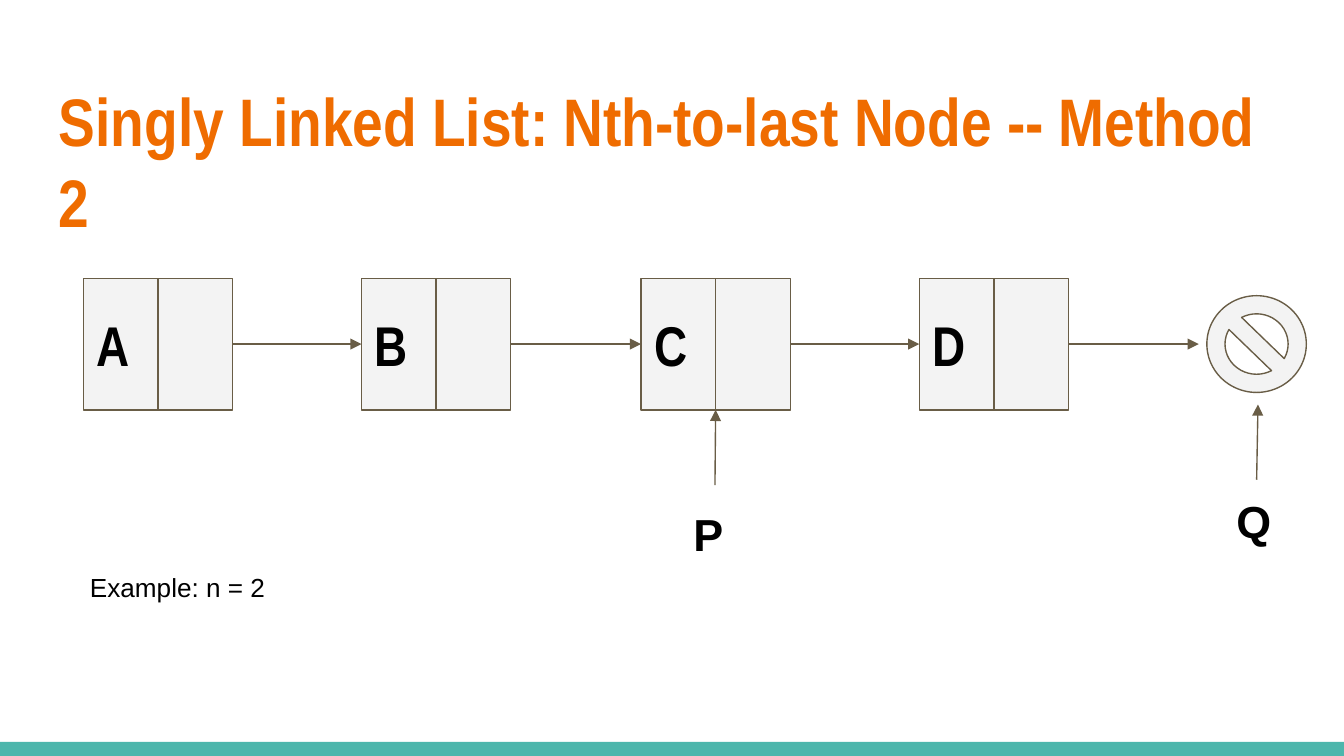
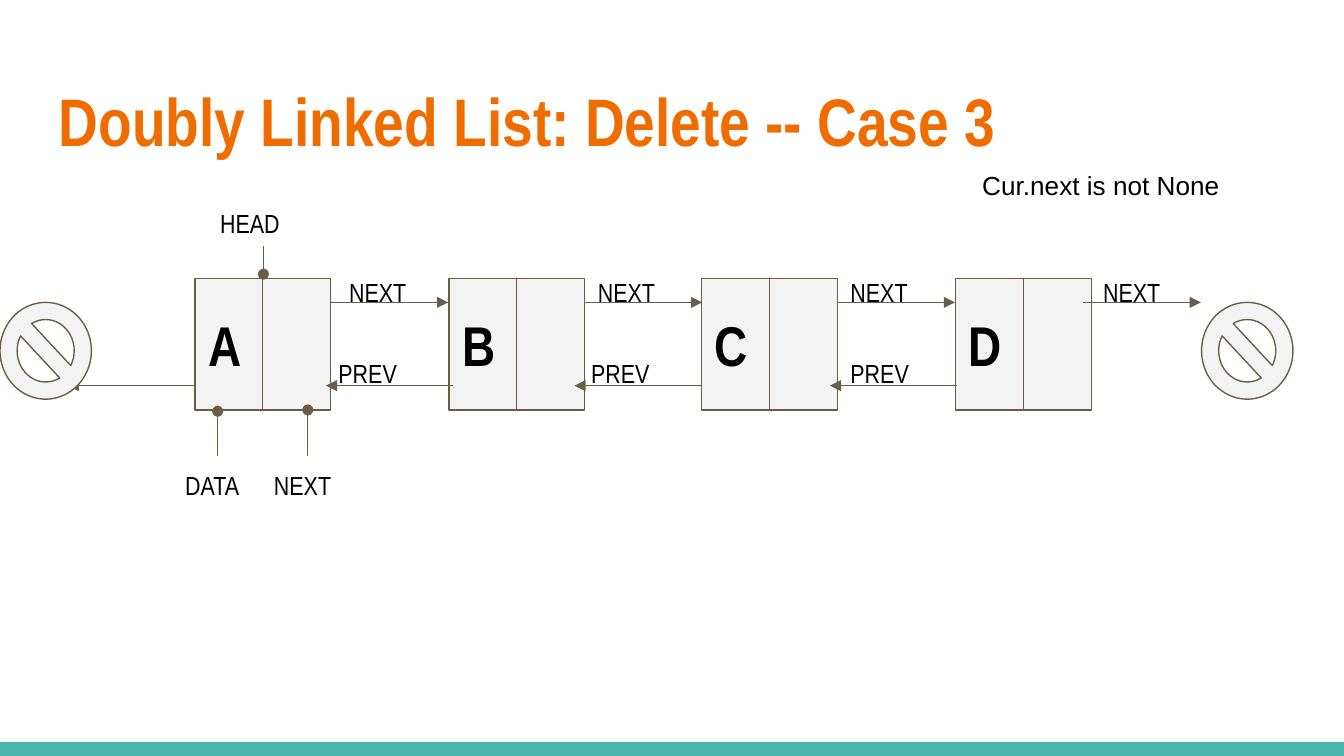
from lxml import etree
from pptx import Presentation
from pptx import util as u
from pptx.dml.color import RGBColor
from pptx.enum import shapes, text
from pptx.oxml.ns import qn

PX = 9144
KIND = shapes.MSO_SHAPE
TOP, LEFT, BOTTOM, RIGHT = range(4)
NARROW = "Arial Narrow"
ORANGE, TEAL, BROWN, GREY, BLACK = "EF6C00", "4DB6AC", "695D46", "F3F3F3", "000000"
TITLE = {"name": NARROW, "size": 36, "bold": True, "color": ORANGE}
LETTER = {"name": NARROW, "size": 30, "bold": True, "color": BLACK}
MARK = {"name": "Arial", "size": 24, "bold": True, "color": BLACK}
LABEL = {"name": NARROW, "size": 14, "color": BLACK}
NOTE = {"name": "Arial", "size": 14, "color": BLACK}
NODE_Y, NODE_H = 207, 98


def px(n):
    return u.Emu(round(n * PX))


def rgb(code):
    return RGBColor.from_string(code)


class Deck:
    def __init__(self):
        self.prs = Presentation()
        self.prs.slide_width, self.prs.slide_height = px(1000), px(562.5)
        self.slide = None

    def page(self, title):
        self.slide = self.prs.slides.add_slide(self.prs.slide_layouts[6])
        self.shape(KIND.RECTANGLE, 0, 552, 1000, 11, TEAL, None)
        self.label(title, 34, 49, 932, 77, TITLE)

    def words(self, shape, copy, form, anchor=text.MSO_ANCHOR.TOP):
        frame = shape.text_frame
        margins = dict.fromkeys(("margin_left", "margin_top", "margin_right", "margin_bottom"), px(10))
        for key, val in {**margins, "word_wrap": True, "vertical_anchor": anchor}.items():
            setattr(frame, key, val)
        para = frame.paragraphs[0]
        para.alignment = text.PP_ALIGN.LEFT
        run = para.add_run()
        run.text = copy
        for key, val in form.items():
            if key == "color":
                run.font.color.rgb = rgb(val)
            else:
                setattr(run.font, key, u.Pt(val) if key == "size" else val)

    def label(self, copy, x, y, w, h, form=LABEL):
        box = self.slide.shapes.add_textbox(*map(px, (x, y, w, h)))
        self.words(box, copy, form)

    def stroke(self, line):
        line.color.rgb = rgb(BROWN)
        line.width = u.Pt(0.75)

    def shape(self, kind, x, y, w, h, fill=GREY, edge=BROWN):
        item = self.slide.shapes.add_shape(kind, *map(px, (x, y, w, h)))
        item.shadow.inherit = False
        item.fill.solid()
        item.fill.fore_color.rgb = rgb(fill)
        if edge:
            self.stroke(item.line)
        else:
            item.line.fill.background()
        return item

    def null(self, x, y, w):
        self.shape(KIND.NO_SYMBOL, x, y, w, 72).adjustments[0] = 0.188

    def line(self, x1, y1, x2, y2, tip=None, start=None, end=None):
        item = self.slide.shapes.add_connector(
            shapes.MSO_CONNECTOR.STRAIGHT, *map(px, (x1, y1, x2, y2)))
        self.stroke(item.line)
        props = item._element.spPr
        if tip:
            etree.SubElement(props.find(qn("a:ln")), qn("a:tailEnd")).set("type", tip)
        etree.SubElement(props, qn("a:effectLst"))
        if start:
            item.begin_connect(*start)
        if end:
            item.end_connect(*end)

    def nodes(self, left, pitch, wide):
        row = []
        for i, name in enumerate("ABCD"):
            x = round(left + i * pitch)
            node = self.shape(KIND.RECTANGLE, x, NODE_Y, wide, NODE_H)
            self.words(node, name, LETTER, text.MSO_ANCHOR.MIDDLE)
            mid = x + wide / 2
            self.line(mid, NODE_Y, mid, NODE_Y + NODE_H, None, (node, TOP), (node, BOTTOM))
            row.append((node, x))
        return row


def singly(deck):
    deck.page("Singly Linked List: Nth-to-last Node -- Method 2")
    wide, mid = 111, NODE_Y + NODE_H // 2
    row = deck.nodes(62, 207.4, wide)
    for (node, x), (peer, stop) in zip(row, row[1:]):
        deck.line(x + wide, mid, stop, mid, "triangle", (node, RIGHT), (peer, LEFT))
    last, x = row[-1]
    deck.line(x + wide, mid, 892, mid, "triangle", (last, RIGHT))
    deck.null(898, 220, 74)
    deck.label("Example: n = 2", 57, 415, 852, 128, NOTE)
    deck.line(532, 361, 533, 305, "triangle", end=(row[2][0], BOTTOM))
    deck.line(935, 357, 936, 301, "triangle")
    for name, x, y in (("P", 506, 367), ("Q", 910, 357)):
        deck.label(name, x, y, 52, 41, MARK)


def doubly(deck):
    deck.page("Doubly Linked List: Delete -- Case 3")
    wide = 101
    row = deck.nodes(145, 188.6, wide)
    for x in [x + wide for _, x in row[:-1]] + [806]:
        deck.line(x, 225, x + 87.5, 225, "triangle")
    deck.null(894, 225, 68)
    for x, y, stop in ((196, 183, 204), (162, 339, 306), (229, 339, 305)):
        deck.line(x, y, x, stop, "oval")
    for name, x, y, w in (("HEAD", 154, 144, 96), ("DATA", 128, 339, 70), ("NEXT", 194, 339, 70)):
        deck.label(name, x, y, w, 21)
    for x in (712, 522, 337, 145):
        deck.line(x, 287, x - 94.5, 287, "triangle")
    deck.null(0, 225, 68)
    for name, y, spots in (("NEXT", 196, (250, 435, 623, 811)), ("PREV", 256, (242, 430, 623))):
        for x in spots:
            deck.label(name, x, y, 96, 21)
    deck.label("Cur.next is not None", 721, 116, 210, 67, NOTE)


def main():
    deck = Deck()
    singly(deck)
    doubly(deck)
    deck.prs.save("out.pptx")


if __name__ == "__main__":
    main()
